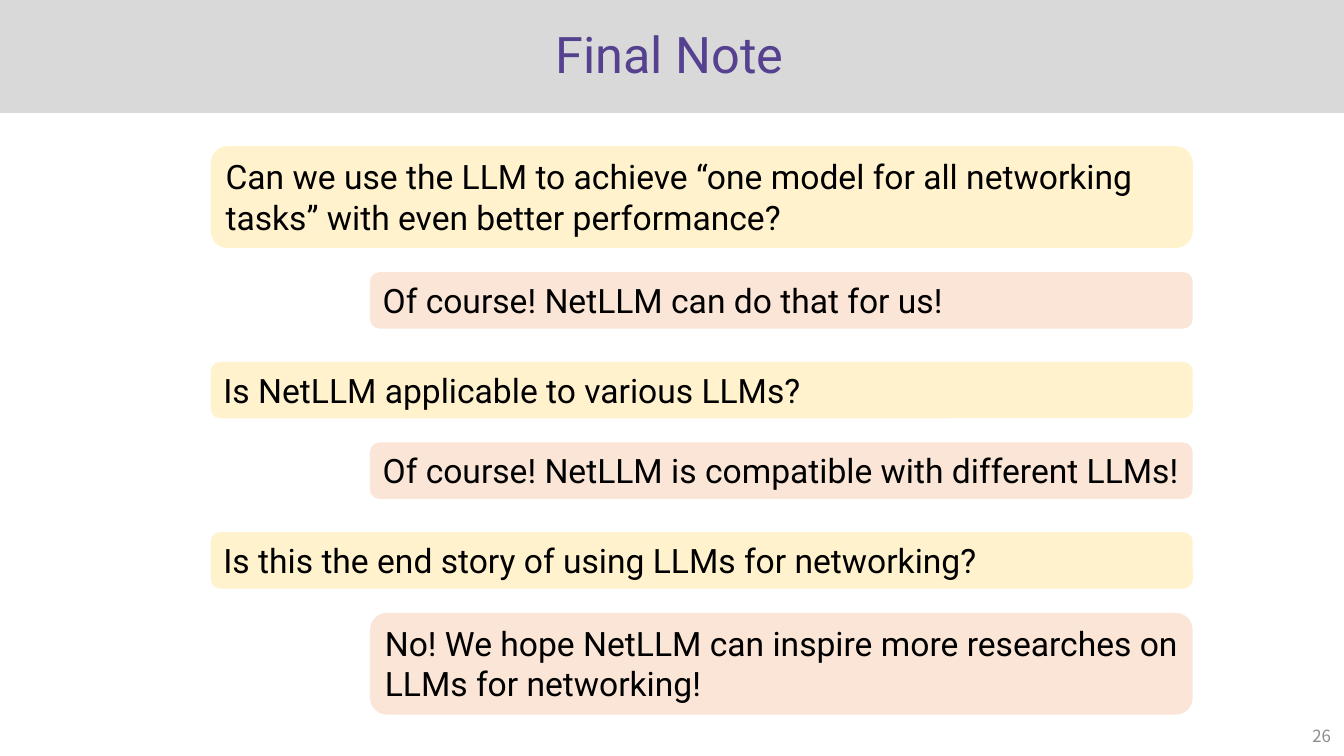
from pptx import Presentation
from pptx.dml.color import RGBColor
from pptx.enum.shapes import MSO_SHAPE
from pptx.enum.text import MSO_ANCHOR, MSO_AUTO_SIZE, PP_ALIGN
from pptx.util import Inches, Pt

COLORS = {
    "band": "D9D9D9",
    "title": "55418F",
    "question": "FFF2CC",
    "answer": "FBE5D6",
    "text": "000000",
    "number": "8C8C8C",
}


def write(shape, text, size, color, font="Roboto", align=PP_ALIGN.LEFT,
          anchor=MSO_ANCHOR.MIDDLE, spacing=1.0, autofit=MSO_AUTO_SIZE.NONE):
    frame = shape.text_frame
    frame.word_wrap = True
    frame.auto_size = autofit
    frame.vertical_anchor = anchor
    para = frame.paragraphs[0]
    para.alignment = align
    para.line_spacing = spacing
    span = para.add_run()
    span.text = text
    span.font.name = font
    span.font.size = Pt(size)
    span.font.color.rgb = RGBColor.from_string(COLORS[color])


def add_block(kind, left, top, width, height, color):
    block = page.shapes.add_shape(
        kind, Inches(left), Inches(top), Inches(width), Inches(height))
    block.shadow.inherit = False
    block.fill.solid()
    block.fill.fore_color.rgb = RGBColor.from_string(COLORS[color])
    block.line.fill.background()
    return block


deck = Presentation()
deck.slide_width, deck.slide_height = Inches(13.33), Inches(7.5)
page = deck.slides.add_slide(deck.slide_layouts[5])

# Title on its grey band
band = add_block(MSO_SHAPE.RECTANGLE, 0, 0, 13.33, 1.12, "band")
title = page.shapes.title
band.element.addnext(title.element)
title.left, title.top = Inches(0.38), Inches(0.02)
title.width, title.height = Inches(12.52), Inches(1.1)
write(title, "Final Note", 36, "title", align=PP_ALIGN.CENTER, spacing=0.9)

# Slide number
number = page.shapes.add_textbox(Inches(10.3), Inches(7.1), Inches(3), Inches(0.4))
write(number, "26", 12, "number", font="Noto Sans CJK SC", align=PP_ALIGN.RIGHT)

# Questions and answers share a right edge; answers are indented
RIGHT_EDGE = 11.83
LEFT = {"question": 2.09, "answer": 3.67}
GAP_BELOW = {"question": 0.24, "answer": 0.33}
ONE_LINE, TWO_LINES = 0.56, 1.01

dialogue = [
    ("question", TWO_LINES, "Can we use the LLM to achieve “one model for all "
     "networking tasks” with even better performance?"),
    ("answer", ONE_LINE, "Of course! NetLLM can do that for us!"),
    ("question", ONE_LINE, "Is NetLLM applicable to various LLMs?"),
    ("answer", ONE_LINE, "Of course! NetLLM is compatible with different LLMs!"),
    ("question", ONE_LINE, "Is this the end story of using LLMs for networking?"),
    ("answer", TWO_LINES, "No! We hope NetLLM can inspire more researches "
     "on LLMs for networking!"),
]

top = 1.45
for role, height, text in dialogue:
    left = LEFT[role]
    bubble = add_block(MSO_SHAPE.ROUNDED_RECTANGLE, left, top,
                       RIGHT_EDGE - left, height, role)
    write(bubble, text, 24, "text", anchor=MSO_ANCHOR.TOP,
          autofit=MSO_AUTO_SIZE.SHAPE_TO_FIT_TEXT)
    top += height + GAP_BELOW[role]

deck.save("out.pptx")
